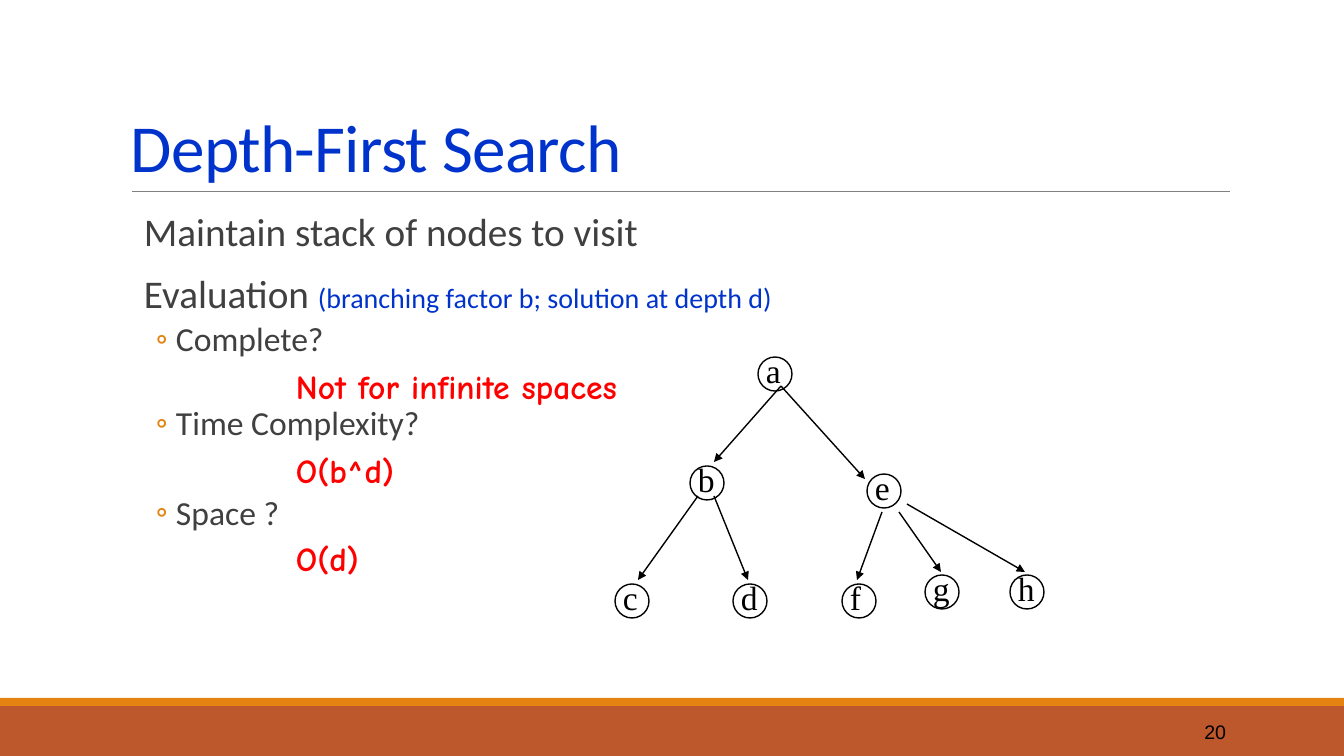
from lxml.etree import SubElement
from pptx import Presentation
from pptx.dml.color import RGBColor
from pptx.enum.shapes import MSO_CONNECTOR, MSO_SHAPE
from pptx.enum.text import MSO_ANCHOR, PP_ALIGN
from pptx.oxml.ns import qn
from pptx.util import Pt

BLUE = RGBColor(0x00, 0x33, 0xCC)
BLACK = RGBColor(0x00, 0x00, 0x00)
RED = RGBColor(0xFF, 0x00, 0x00)
DARK = RGBColor(0x40, 0x40, 0x40)
GRAY = RGBColor(0x80, 0x80, 0x80)
ORANGE = RGBColor(0xE4, 0x83, 0x12)
RUST = RGBColor(0xBD, 0x58, 0x2C)

TITLE = "Depth-First Search"
PAGE_NUMBER = "20"
# runs (text, size, colour), bulleted, space before, space after
BODY = [
    ([("Maintain stack of nodes to visit", 28, DARK)], False, 12, 2),
    ([("Evaluation ", 28, DARK),
      ("(branching factor b; solution at depth d)", 20, BLUE)], False, 12, 2),
    ([("Complete?", 24, DARK)], True, 2, 4),
    ([("Time Complexity?", 24, DARK)], True, 30, 4),
    ([("Space ?", 24, DARK)], True, 34, 4),
]
# text, top, width
ANSWERS = [("Not for infinite spaces", 361, 396), ("O(b^d)", 445, 132), ("O(d)", 533, 92)]
# node: circle left, circle top, label width
NODES = {
    "a": (758, 357, 35), "b": (690, 466, 37), "c": (615, 584, 35), "d": (733, 584, 37),
    "e": (867, 474, 35), "f": (842, 584, 31), "g": (925, 575, 37), "h": (1010, 575, 37),
}
# start x, start y, end x, end y
EDGES = [
    (781, 386, 714, 462), (781, 386, 865, 479),
    (698, 496, 638, 580), (714, 496, 748, 580),
    (882, 512, 857, 580), (899, 512, 941, 572), (907, 504, 1025, 572),
]
NODE_SIZE = 34
LABEL_DX, LABEL_DY = -2, -12
LABEL_HEIGHT = 50


def px(n):
    return round(n * 914400 / 100.8)


def add_run(p, text, size, color, font, bold=False):
    r = p.add_run()
    r.text = text
    r.font.size, r.font.name, r.font.bold = Pt(size), font, bold
    r.font.color.rgb = color
    return r


def add_box(shapes, x, y, w, h, wrap=True):
    tf = shapes.add_textbox(px(x), px(y), px(w), px(h)).text_frame
    tf.word_wrap = wrap
    return tf


def add_band(shapes, y, h, color):
    sp = shapes.add_shape(MSO_SHAPE.RECTANGLE, 0, px(y), px(1344), px(h))
    sp.shadow.inherit = False
    sp.fill.solid()
    sp.fill.fore_color.rgb = color
    sp.line.fill.background()


def add_line(shapes, x1, y1, x2, y2, color, width, arrow=False):
    line = shapes.add_connector(MSO_CONNECTOR.STRAIGHT, px(x1), px(y1), px(x2), px(y2))
    line.line.color.rgb = color
    line.line.width = Pt(width)
    if arrow:
        SubElement(line.line._get_or_add_ln(), qn("a:tailEnd"), type="triangle")
    SubElement(line._element.spPr, qn("a:effectLst"))


def add_node(shapes, letter, x, y, label_width):
    sp = shapes.add_shape(MSO_SHAPE.OVAL, px(x), px(y), px(NODE_SIZE), px(NODE_SIZE))
    sp.shadow.inherit = False
    sp.fill.background()
    sp.line.color.rgb = BLACK
    sp.line.width = Pt(1)
    tf = add_box(shapes, x + LABEL_DX, y + LABEL_DY, label_width, LABEL_HEIGHT, wrap=False)
    add_run(tf.paragraphs[0], letter, 24, BLACK, "Times New Roman")


def set_indent(p, bulleted):
    pPr = p._p.get_or_add_pPr()
    pPr.set("marL", str(px(42 if bulleted else 10)))
    if bulleted:
        pPr.set("indent", str(px(-20)))
        color = SubElement(pPr, qn("a:buClr"))
        SubElement(color, qn("a:srgbClr"), val=str(ORANGE))
        SubElement(pPr, qn("a:buFont"), typeface="Calibri")
        SubElement(pPr, qn("a:buChar"), char="◦")


def add_body(shapes):
    tf = add_box(shapes, 134, 208, 1008, 219)
    tf.margin_left = tf.margin_right = 0
    for i, (runs, bulleted, before, after) in enumerate(BODY):
        p = tf.add_paragraph() if i else tf.paragraphs[0]
        p.line_spacing = 0.9
        p.space_before, p.space_after = Pt(before), Pt(after)
        set_indent(p, bulleted)
        for text, size, color in runs:
            add_run(p, text, size, color, "Calibri")


def main():
    prs = Presentation()
    prs.slide_width, prs.slide_height = px(1344), px(756)
    s = prs.slides.add_slide(prs.slide_layouts[6])

    add_band(s.shapes, 706, 50, RUST)
    add_band(s.shapes, 698, 8, ORANGE)
    add_line(s.shapes, 132, 191, 1230, 191, GRAY, 0.5)

    tf = add_box(s.shapes, 121, 31, 1109, 160)
    tf.vertical_anchor = MSO_ANCHOR.BOTTOM
    p = tf.paragraphs[0]
    p.line_spacing = 0.85
    r = add_run(p, TITLE, 48, BLUE, "Calibri")
    r.font._element.set("spc", "-50")

    add_body(s.shapes)

    tf = add_box(s.shapes, 1092, 712, 144, 40)
    tf.vertical_anchor = MSO_ANCHOR.MIDDLE
    tf.paragraphs[0].alignment = PP_ALIGN.RIGHT
    add_run(tf.paragraphs[0], PAGE_NUMBER, 14, BLACK, "Arial")

    tree = s.shapes.add_group_shape().shapes
    for letter, (x, y, label_width) in NODES.items():
        add_node(tree, letter, x, y, label_width)
    for edge in EDGES:
        add_line(tree, *edge, BLACK, 1, arrow=True)

    for text, y, w in ANSWERS:
        tf = add_box(s.shapes, 286, y, w, LABEL_HEIGHT, wrap=False)
        add_run(tf.paragraphs[0], text, 24, RED, "Comic Neue", bold=True)

    prs.save("out.pptx")


if __name__ == "__main__":
    main()
